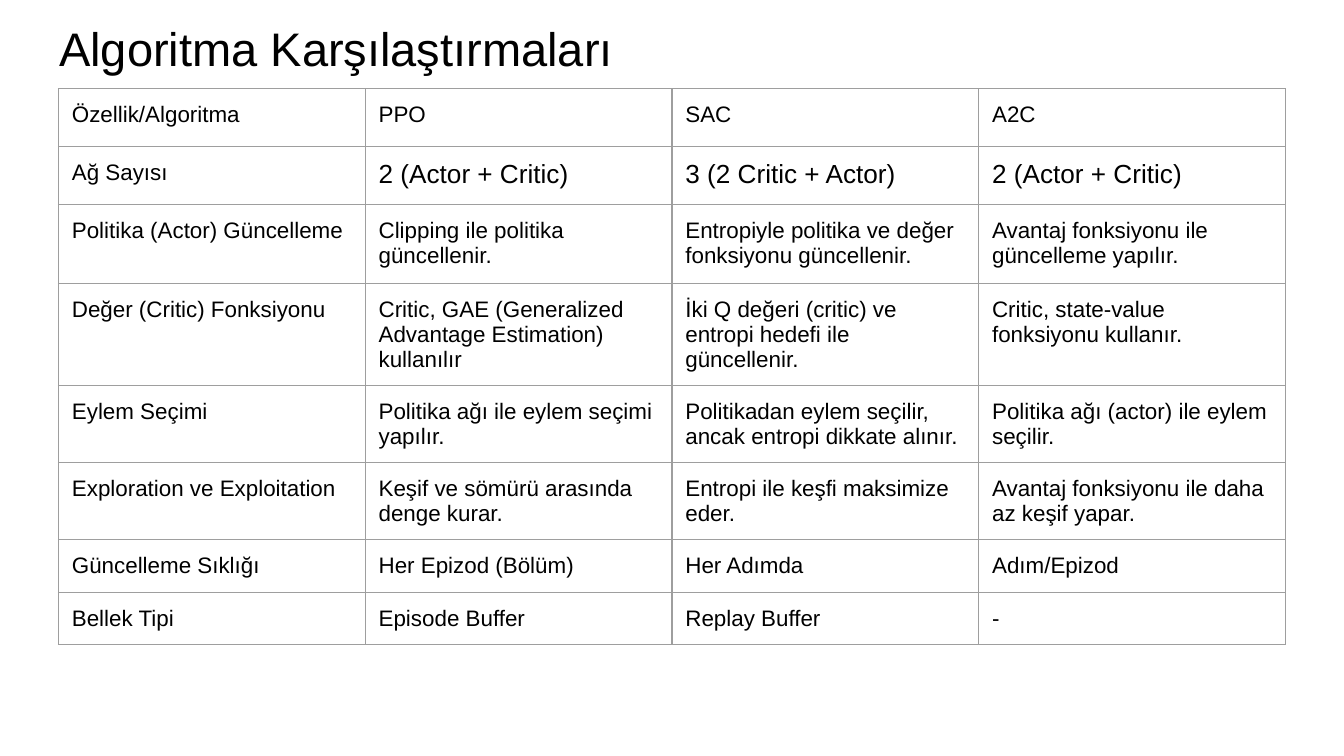
from lxml.etree import SubElement
from pptx import Presentation
from pptx.dml.color import RGBColor
from pptx.enum.text import MSO_ANCHOR, MSO_AUTO_SIZE, PP_ALIGN
from pptx.oxml.ns import qn
from pptx.util import Inches, Pt

TITLE = "Algoritma Karşılaştırmaları"
COMPARISON = [
    ("Özellik/Algoritma", "PPO", "SAC", "A2C"),
    ("Ağ Sayısı", "2 (Actor + Critic)", "3 (2 Critic + Actor)", "2 (Actor + Critic)"),
    ("Politika (Actor) Güncelleme",
     "Clipping ile politika güncellenir.",
     "Entropiyle politika ve değer fonksiyonu güncellenir.",
     "Avantaj fonksiyonu ile güncelleme yapılır."),
    ("Değer (Critic) Fonksiyonu",
     "Critic, GAE (Generalized Advantage Estimation) kullanılır",
     "İki Q değeri (critic) ve entropi hedefi ile güncellenir.",
     "Critic, state-value fonksiyonu kullanır."),
    ("Eylem Seçimi",
     "Politika ağı ile eylem seçimi yapılır.",
     "Politikadan eylem seçilir, ancak entropi dikkate alınır.",
     "Politika ağı (actor) ile eylem seçilir."),
    ("Exploration ve Exploitation",
     "Keşif ve sömürü arasında denge kurar.",
     "Entropi ile keşfi maksimize eder.",
     "Avantaj fonksiyonu ile daha az keşif yapar."),
    ("Güncelleme Sıklığı", "Her Epizod (Bölüm)", "Her Adımda", "Adım/Epizod"),
    ("Bellek Tipi", "Episode Buffer", "Replay Buffer", "-"),
]
ROW_HEIGHTS = [0.43, 0.43, 0.59, 0.76, 0.57, 0.57, 0.39, 0.39]
NETWORK_COUNT_ROW = 1

FONT = "Arial"
BLACK = RGBColor(0x00, 0x00, 0x00)
WHITE = RGBColor(0xFF, 0xFF, 0xFF)
GRID_GREY = RGBColor(0x9E, 0x9E, 0x9E)
SLIDE_WIDTH = Inches(10)
SLIDE_HEIGHT = SLIDE_WIDTH * 9 // 16
INSET = Inches(0.1)
TABLE_TOP, TABLE_WIDTH = Inches(0.66), Inches(9.13)
TABLE_LEFT = (SLIDE_WIDTH - TABLE_WIDTH) // 2


def write(frame, text, size):
    paragraph = frame.paragraphs[0]
    paragraph.alignment = PP_ALIGN.LEFT
    run = paragraph.add_run()
    run.text = text
    run.font.name = FONT
    run.font.size = Pt(size)
    run.font.color.rgb = BLACK


def set_insets(box):
    box.margin_left = box.margin_right = INSET
    box.margin_top = box.margin_bottom = INSET


def draw_borders(cell):
    properties = cell._tc.get_or_add_tcPr()
    for position, side in enumerate(("a:lnL", "a:lnR", "a:lnT", "a:lnB")):
        border = SubElement(properties, qn(side), w=str(Pt(0.75)))
        stroke = SubElement(border, qn("a:solidFill"))
        SubElement(stroke, qn("a:srgbClr"), val=str(GRID_GREY))
        properties.insert(position, border)


def add_title(slide):
    title = slide.shapes.title
    title.left, title.top = Inches(0.34), Inches(0.04)
    title.width, title.height = Inches(9.32), Inches(0.63)
    frame = title.text_frame
    frame.word_wrap = True
    frame.auto_size = MSO_AUTO_SIZE.NONE
    frame.vertical_anchor = MSO_ANCHOR.MIDDLE
    set_insets(frame)
    write(frame, TITLE, 25.2)


def add_comparison(slide):
    columns = len(COMPARISON[0])
    table = slide.shapes.add_table(
        len(COMPARISON), columns, TABLE_LEFT, TABLE_TOP,
        TABLE_WIDTH, Inches(sum(ROW_HEIGHTS))).table
    table.first_row = table.horz_banding = False
    for column in table.columns:
        column.width = TABLE_WIDTH // columns
    for row_index, (features, height) in enumerate(zip(COMPARISON, ROW_HEIGHTS)):
        table.rows[row_index].height = Inches(height)
        for column_index, feature in enumerate(features):
            cell = table.cell(row_index, column_index)
            cell.fill.solid()
            cell.fill.fore_color.rgb = WHITE
            set_insets(cell)
            draw_borders(cell)
            enlarged = row_index == NETWORK_COUNT_ROW and column_index > 0
            write(cell.text_frame, feature, 14 if enlarged else 12)


def main():
    deck = Presentation()
    deck.slide_width, deck.slide_height = SLIDE_WIDTH, SLIDE_HEIGHT
    slide = deck.slides.add_slide(deck.slide_layouts[5])
    add_title(slide)
    add_comparison(slide)
    deck.save("out.pptx")


if __name__ == "__main__":
    main()
